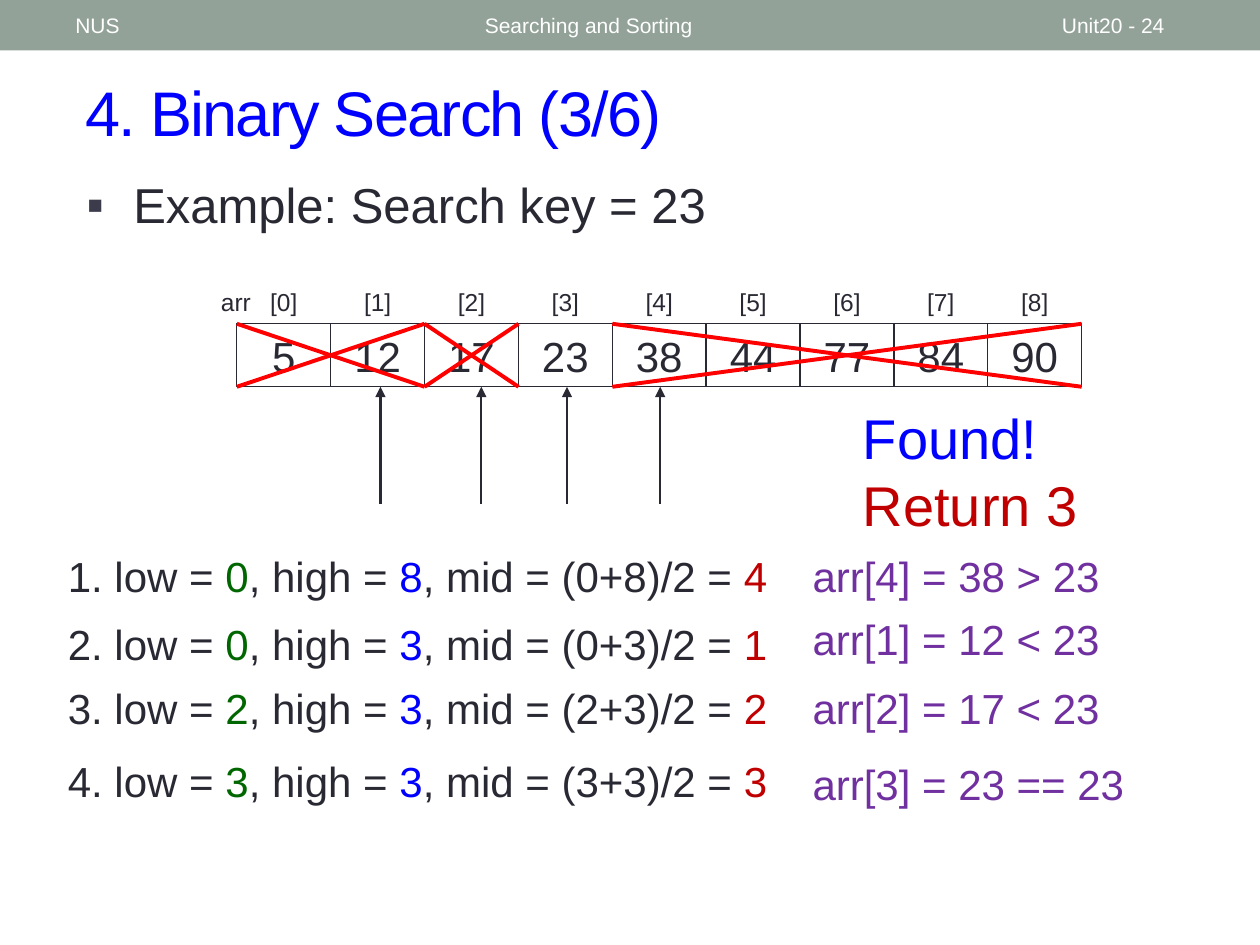
from dataclasses import dataclass

from lxml import etree
from pptx import Presentation
from pptx.dml.color import RGBColor
from pptx.enum import shapes, text
from pptx.oxml import ns
from pptx.util import Inches, Pt

COLORS = {
    "band": "93A299", "white": "FFFFFF", "ink": "292934", "bullet": "3B3B4B",
    "blue": "0000FF", "green": "006600", "red": "C00000", "cross": "FF0000",
    "purple": "7030A0",
}
FONT = "Arial"
VALUES = [5, 12, 17, 23, 38, 44, 77, 84, 90]
KEY = 23
ARRAY_LEFT, CELL_WIDTH = 1.88, 0.745
CELL_TOP, CELL_HEIGHT = 2.57, 0.5
CELL_BOTTOM = CELL_TOP + CELL_HEIGHT
INDEX_TOP, INDEX_HEIGHT = 2.23, 0.34


@dataclass(frozen=True)
class Step:
    low: int
    high: int
    relation: str
    top: float
    comparison_top: float
    arrow_x: float


@dataclass(frozen=True)
class Discarded:
    first: int
    last: int


STEPS = [
    Step(0, 8, ">", 4.32, 4.32, 5.24),
    Step(0, 3, "<", 4.86, 4.82, 3.02),
    Step(2, 3, "<", 5.37, 5.37, 3.82),
    Step(3, 3, "==", 5.95, 5.97, 4.5),
]
DISCARDED = [Discarded(4, 8), Discarded(0, 1), Discarded(2, 2)]


def color(name: str) -> RGBColor:
    return RGBColor.from_string(COLORS[name])


def add_child(parent, tag: str, **attributes: str):
    return etree.SubElement(parent, ns.qn(tag), attributes)


def style(paragraph, size: float, ink: str | None = None) -> None:
    paragraph.font.name = FONT
    paragraph.font.size = Pt(size)
    if ink:
        paragraph.font.color.rgb = color(ink)


def add_text(slide, left: float, top: float, width: float, height: float,
             wording: str, size: float, ink: str = "ink",
             align=text.PP_ALIGN.LEFT, anchor=text.MSO_ANCHOR.TOP):
    frame = slide.shapes.add_textbox(
        Inches(left), Inches(top), Inches(width), Inches(height)).text_frame
    frame.word_wrap = True
    frame.vertical_anchor = anchor
    paragraph = frame.paragraphs[0]
    paragraph.text = wording
    paragraph.alignment = align
    style(paragraph, size, ink)
    return frame


def add_line(slide, start: tuple[float, float], end: tuple[float, float],
             ink: str, width: float, arrow: bool = False) -> None:
    line = slide.shapes.add_connector(
        shapes.MSO_CONNECTOR.STRAIGHT, *map(Inches, start + end))
    line.line.color.rgb = color(ink)
    line.line.width = Pt(width)
    if arrow:
        add_child(line.line._get_or_add_ln(), "a:tailEnd", type="triangle")
    add_child(line._element.spPr, "a:effectLst")


def add_rectangle(slide, left: float, top: float, width: float, height: float):
    rectangle = slide.shapes.add_shape(
        shapes.MSO_SHAPE.RECTANGLE,
        Inches(left), Inches(top), Inches(width), Inches(height))
    rectangle.shadow.inherit = False
    return rectangle


def add_header(slide) -> None:
    band = add_rectangle(slide, 0, 0, 10, 0.4)
    band.fill.solid()
    band.fill.fore_color.rgb = color("band")
    band.line.fill.background()
    for left, width, wording in [(3.75, 4.5, "Searching and Sorting"),
                                 (8.33, 1.17, "Unit20 - 24"),
                                 (0.5, 3.17, "NUS")]:
        add_text(slide, left, 0.02, width, 0.36, wording, 12, "white",
                 anchor=text.MSO_ANCHOR.MIDDLE)


def add_heading(slide) -> None:
    title = add_text(slide, 0.58, 0.42, 9.17, 0.92, "4. Binary Search (3/6)",
                     36, "blue", anchor=text.MSO_ANCHOR.MIDDLE)
    title.paragraphs[0].runs[0].font._element.set("spc", "-100")

    body = slide.shapes.add_textbox(
        Inches(0.59), Inches(1.39), Inches(8.67), Inches(0.59)).text_frame
    body.word_wrap = True
    example = body.paragraphs[0]
    example.text = f"Example: Search key = {KEY}"
    example.line_spacing = 0.9
    properties = example._p.get_or_add_pPr()
    properties.set("marL", str(Inches(0.37)))
    properties.set("indent", str(-Inches(0.37)))
    bullet_color = add_child(properties, "a:buClr")
    add_child(bullet_color, "a:srgbClr", val=COLORS["bullet"])
    add_child(properties, "a:buFont", typeface=FONT)
    add_child(properties, "a:buChar", char="▪")
    style(example, 28, "ink")


def add_cell(slide, index: int, value: int) -> None:
    left = ARRAY_LEFT + index * CELL_WIDTH
    cell = add_rectangle(slide, left, CELL_TOP, CELL_WIDTH, CELL_HEIGHT)
    cell.fill.background()
    cell.line.color.rgb = color("ink")
    cell.line.width = Pt(0.75)
    number = cell.text_frame.paragraphs[0]
    number.text = str(value)
    number.alignment = text.PP_ALIGN.CENTER
    style(number, 24, "ink")
    add_text(slide, left, INDEX_TOP, CELL_WIDTH, INDEX_HEIGHT, f"[{index}]", 14,
             align=text.PP_ALIGN.CENTER)


def add_cross(slide, discarded: Discarded) -> None:
    left = ARRAY_LEFT + discarded.first * CELL_WIDTH
    right = ARRAY_LEFT + (discarded.last + 1) * CELL_WIDTH
    add_line(slide, (left, CELL_TOP), (right, CELL_BOTTOM), "cross", 2.25)
    add_line(slide, (left, CELL_BOTTOM), (right, CELL_TOP), "cross", 2.25)


def add_step(slide, number: int, step: Step) -> None:
    mid = (step.low + step.high) // 2
    calculation = add_text(slide, 0.44, step.top, 6.28, 0.5, "", 24).paragraphs[0]
    for wording, ink in [
        (f"{number}. low = ", "ink"), (str(step.low), "green"),
        (", high = ", "ink"), (str(step.high), "blue"),
        (f", mid = ({step.low}+{step.high})/2 = ", "ink"), (str(mid), "red"),
    ]:
        run = calculation.add_run()
        run.text = wording
        run.font.color.rgb = color(ink)
    add_line(slide, (step.arrow_x, 4), (step.arrow_x, CELL_BOTTOM),
             "ink", 1.25, arrow=True)
    add_text(slide, 6.35, step.comparison_top, 2.79, 0.5,
             f"arr[{mid}] = {VALUES[mid]} {step.relation} {KEY}", 24, "purple")


def main() -> None:
    deck = Presentation()
    deck.slide_width, deck.slide_height = Inches(10), Inches(7.5)
    slide = deck.slides.add_slide(deck.slide_layouts[6])
    add_header(slide)
    add_heading(slide)
    for index, value in enumerate(VALUES):
        add_cell(slide, index, value)
    add_text(slide, 1.5, INDEX_TOP, CELL_WIDTH, INDEX_HEIGHT, "arr", 14,
             align=text.PP_ALIGN.CENTER)
    for discarded in DISCARDED:
        add_cross(slide, discarded)
    for number, step in enumerate(STEPS, start=1):
        add_step(slide, number, step)
    result = add_text(slide, 6.75, 3.15, 2.18, 1.18, "Found!", 32, "blue")
    answer = result.add_paragraph()
    answer.text = "Return 3"
    style(answer, 32, "red")
    deck.save("out.pptx")


if __name__ == "__main__":
    main()
